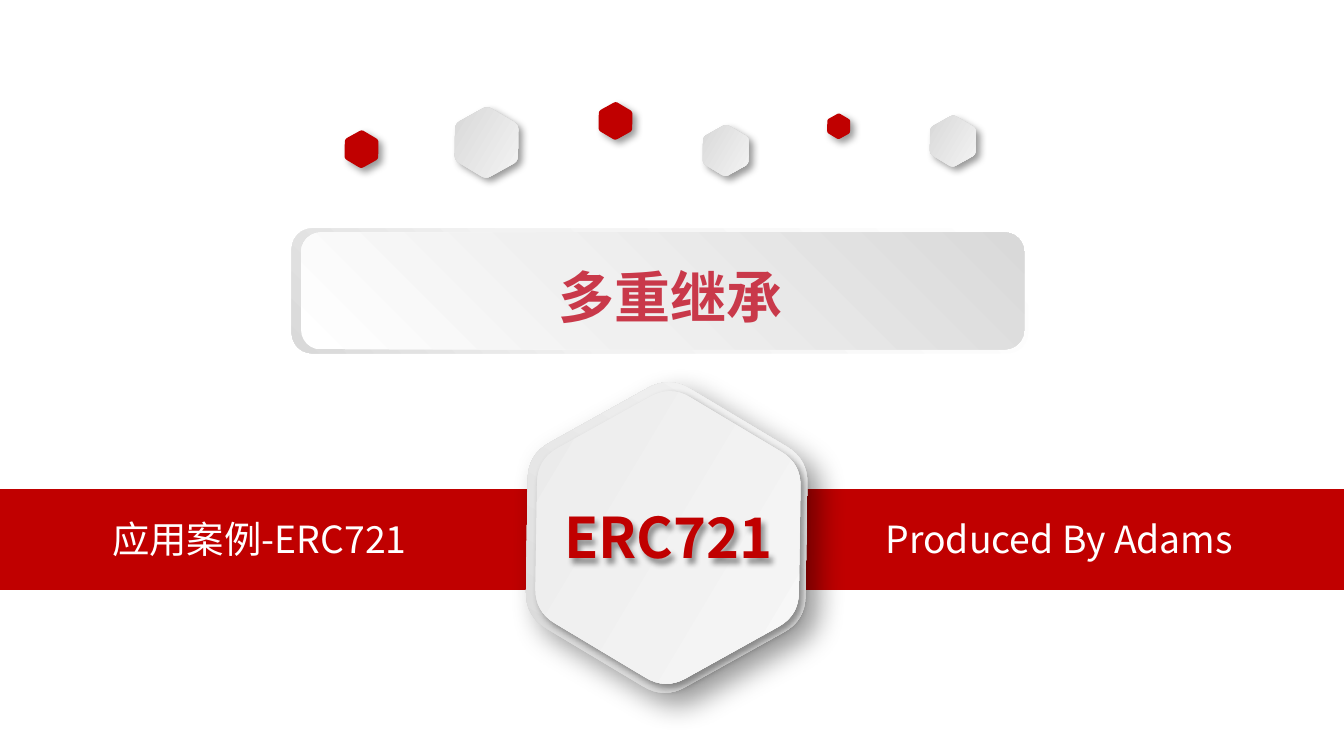
import math
from dataclasses import dataclass

from lxml import etree
from pptx import Presentation
from pptx.dml.color import RGBColor
from pptx.enum import shapes as kinds, text as styles
from pptx.oxml import ns
from pptx.util import Inches, Pt


@dataclass(frozen=True)
class Theme:
    font: str = "Noto Sans CJK SC"
    red: str = "C00000"
    title_red: str = "C9394A"
    white: str = "FFFFFF"
    title_size: int = 30
    caption_size: int = 20
    silver: tuple = ((0, "D3D3D3"), (100, "F9F9F9"))
    pale: tuple = ((0, "E9E9E9"), (100, "F9F9F9"))
    panel_back: tuple = ((0, "FFFFFF"), (62, "F2F2F2"), (100, "D9D9D9"))
    panel_front: tuple = ((0, "FFFFFF"), (42, "F0F0F0"), (100, "D9D9D9"))


THEME = Theme()
SMALL_SHADOW = (4, 3)
DEEP_SHADOW = (15, 9)
HEX_TILT = 30.9


def add_node(parent, tag, **attributes):
    return etree.SubElement(parent, ns.qn(tag),
                            {key: str(value) for key, value in attributes.items()})


def paint(shape, fill, angle=0):
    """Fill with one colour, or with (percent, colour) stops at a clockwise angle."""
    shape.shadow.inherit = False
    shape.line.fill.background()
    if isinstance(fill, str):
        shape.fill.solid()
        shape.fill.fore_color.rgb = RGBColor.from_string(fill)
        return
    shape.fill.gradient()
    gradient = shape.element.spPr.find(ns.qn("a:gradFill"))
    stops = gradient.find(ns.qn("a:gsLst"))
    stops.clear()
    for percent, color in fill:
        stop = add_node(stops, "a:gs", pos=percent * 1000)
        add_node(stop, "a:srgbClr", val=color)
    gradient.find(ns.qn("a:lin")).set("ang", str(angle * 60000))


def cast_shadow(shape, blur, distance, direction=45):
    shape.shadow.inherit = False
    effects = shape.element.spPr.find(ns.qn("a:effectLst"))
    outer = add_node(effects, "a:outerShdw", blurRad=Pt(blur), dist=Pt(distance),
                     dir=direction * 60000, algn="tl", rotWithShape=0)
    color = add_node(outer, "a:srgbClr", val="000000")
    add_node(color, "a:alpha", val=40000)


def write(shape, words, *, size, color, bold=False, align=styles.PP_ALIGN.CENTER):
    frame = shape.text_frame
    frame.word_wrap = True
    frame.auto_size = styles.MSO_AUTO_SIZE.NONE
    frame.vertical_anchor = styles.MSO_ANCHOR.MIDDLE
    paragraph = frame.paragraphs[0]
    paragraph.alignment = align
    run = paragraph.add_run()
    run.text = words
    run.font.size = Pt(size)
    run.font.bold = bold
    run.font.name = THEME.font
    run.font.color.rgb = RGBColor.from_string(color)
    add_node(run.font._element, "a:ea", typeface=THEME.font)


def add_block(parent, kind, box, fill, angle=0):
    block = parent.add_shape(kind, *map(Inches, box))
    paint(block, fill, angle)
    return block


def add_caption(slide, box, words, align):
    caption = slide.shapes.add_textbox(*map(Inches, box))
    write(caption, words, size=THEME.caption_size, color=THEME.white, align=align)


def hexagon_outline(center_x, center_y, height, steps=8):
    """Points of a flat-topped hexagon whose corners are quadratic curves."""
    radius = height / math.sqrt(3)
    corners = [(center_x + radius * math.cos(math.radians(60 * i)),
                center_y + radius * math.sin(math.radians(60 * i))) for i in range(6)]
    cut = 0.15
    points = []
    for i, corner in enumerate(corners):
        before, after = corners[i - 1], corners[(i + 1) % 6]
        for step in range(steps + 1):
            t = step / steps
            to_before, to_after = cut * (1 - t) ** 2, cut * t ** 2
            points.append(tuple(
                Inches(c + to_before * (b - c) + to_after * (a - c))
                for b, c, a in zip(before, corner, after)))
    return points


def add_hexagon(parent, center_x, center_y, height, fill, angle=0, shadow=SMALL_SHADOW):
    start, *rest = hexagon_outline(center_x, center_y, height)
    builder = parent.build_freeform(*start, scale=1.0)
    builder.add_line_segments(rest, close=True)
    hexagon = builder.convert_to_shape()
    hexagon.rotation = HEX_TILT
    paint(hexagon, fill, angle)
    cast_shadow(hexagon, *shadow)


def add_small_hexagons(slide):
    for center_x, center_y, height, fill in (
            (3.62, 1.06, 0.47, THEME.silver),
            (4.58, 0.9, 0.25, THEME.red),
            (2.69, 1.11, 0.25, THEME.red),
            (5.4, 1.12, 0.34, THEME.silver),
            (6.24, 0.94, 0.17, THEME.red),
            (7.09, 1.05, 0.34, THEME.silver)):
        add_hexagon(slide.shapes, center_x, center_y, height, fill)


def add_badge(slide):
    badge = slide.shapes.add_group_shape().shapes
    add_hexagon(badge, 4.96, 4, 2.08, THEME.silver, 270, DEEP_SHADOW)
    add_hexagon(badge, 4.97, 4, 1.96, THEME.pale)


def add_title_panel(slide):
    panel = slide.shapes.add_group_shape().shapes
    rounded = kinds.MSO_SHAPE.ROUNDED_RECTANGLE
    add_block(panel, rounded, (2.17, 1.7, 5.48, 0.93), THEME.panel_back, 135)
    add_block(panel, rounded, (2.24, 1.73, 5.38, 0.87), THEME.panel_front, 315)


def add_title(slide, words):
    title = slide.shapes.title
    title.left, title.top, title.width, title.height = map(
        Inches, (2.25, 1.9, 5.48, 0.6))
    write(title, words, size=THEME.title_size, color=THEME.title_red, bold=True)
    title.element.getparent().append(title.element)  # in front of the panel


def add_badge_label(slide, words):
    label = slide.shapes.add_shape(kinds.MSO_SHAPE.ROUNDED_RECTANGLE,
                                   *map(Inches, (3.99, 3.74, 1.97, 0.5)))
    label.fill.background()
    label.line.fill.background()
    cast_shadow(label, 3, 3, direction=60)
    write(label, words, size=THEME.title_size, color=THEME.red, bold=True)


def main():
    deck = Presentation()
    deck.slide_width = Inches(10)
    deck.slide_height = deck.slide_width * 9 // 16
    slide = deck.slides.add_slide(deck.slide_layouts[5])

    add_block(slide.shapes, kinds.MSO_SHAPE.RECTANGLE, (0, 3.64, 10, 0.75), THEME.red)
    add_caption(slide, (0.17, 3.79, 3.52, 0.44), "应用案例-ERC721",
                styles.PP_ALIGN.CENTER)
    add_caption(slide, (6.49, 3.79, 3.5, 0.44), "Produced By Adams",
                styles.PP_ALIGN.LEFT)
    add_small_hexagons(slide)
    add_badge(slide)
    add_title_panel(slide)
    add_title(slide, "多重继承")
    add_badge_label(slide, "ERC721")

    deck.save("out.pptx")


if __name__ == "__main__":
    main()
